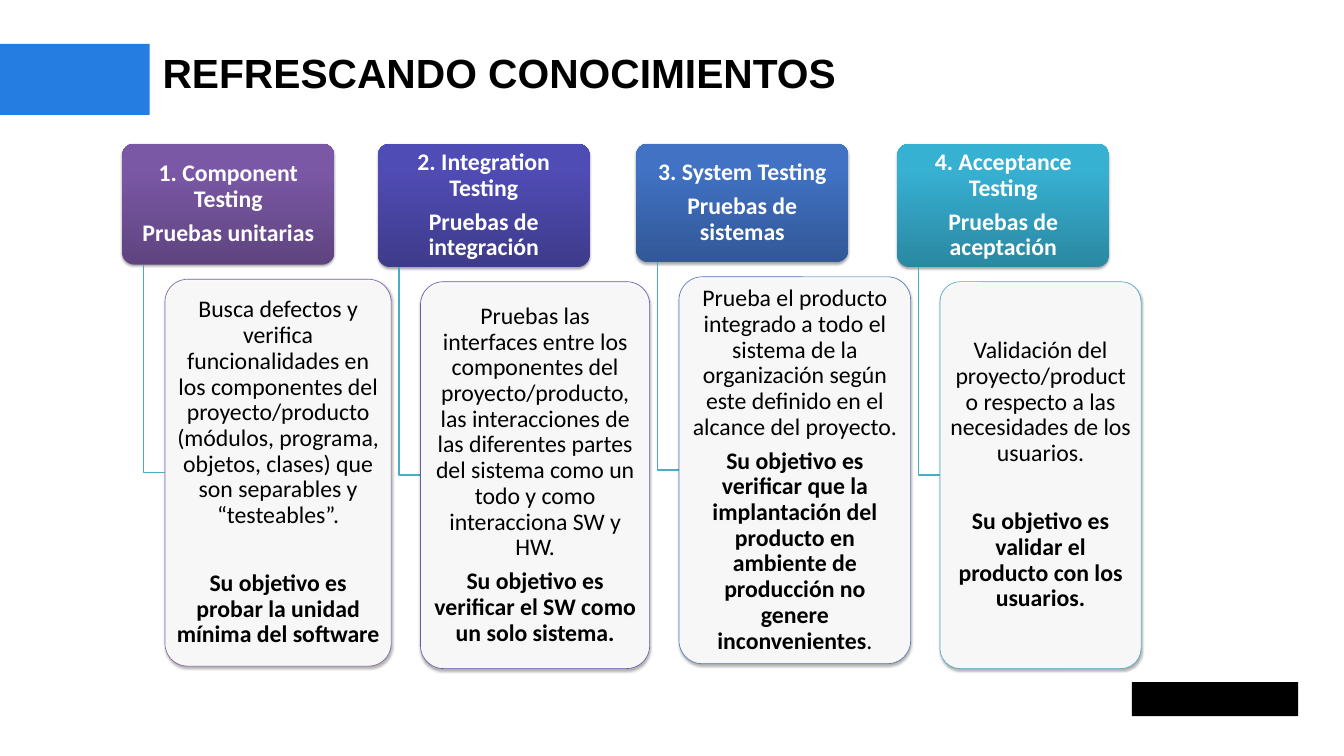
"""Build a slide that recalls the four levels of software testing."""
from collections import namedtuple
from pptx import Presentation, util as u
from pptx.dml.color import RGBColor
from pptx.enum import shapes, text
from pptx.oxml import ns, parse_xml

Level = namedtuple("Level", "name name_es body goal tail gap head_h card_w dark light edge")

TITLE = "REFRESCANDO CONOCIMIENTOS"
LEVELS = [
    Level("1. Component Testing", "Pruebas unitarias",
          "Busca defectos y verifica funcionalidades en los componentes del proyecto/producto "
          "(módulos, programa, objetos, clases) que son separables y “testeables”.",
          "Su objetivo es probar la unidad mínima del software", "",
          50, 198, 370, "5F4480", "7B58A6", "8064A2"),
    Level("2. Integration Testing", "Pruebas de integración",
          "Pruebas las interfaces entre los componentes del proyecto/producto, las interacciones de "
          "las diferentes partes del sistema como un todo y como interacciona SW y HW.",
          "Su objetivo es verificar el SW como un solo sistema.", "",
          9.8, 202, 375, "3E3B8B", "504CB5", "5F5BAE"),
    Level("3. System Testing", "Pruebas de sistemas",
          "Prueba el producto integrado a todo el sistema de la organización según este definido "
          "en el alcance del proyecto.",
          "Su objetivo es verificar que la implantación del producto en ambiente de producción "
          "no genere inconvenientes", ".",
          9.8, 194, 379, "325897", "4172C4", "537ABA"),
    Level("4. Acceptance Testing", "Pruebas de aceptación",
          "Validación del proyecto/producto respecto a las necesidades de los usuarios.",
          "Su objetivo es validar el producto con los usuarios.", "",
          50, 202, 329, "2A88A2", "37B1D2", "4BACC6"),
]
THEME = {
    "accent": "257CE1", "ink": "000000", "paper": "FFFFFF", "link": "4BACC6",
    "title_font": "Arial", "body_font": "Calibri",
    "title_pt": 48, "body_pt": 28, "after_pt": 9.8, "edge_pt": 0.75, "link_pt": 2,
}
PX = 9144
SLIDE_W, SLIDE_H = 2199, 1237
LEFT, TOP, HEAD_W, CARD_H = 200, 235, 347, 633
INDENT, DROP, COLUMN_GAP = 35, 24, 48


def rgb(value):
    return RGBColor.from_string(value)


def px(*lengths):
    return [u.Emu(n * PX) for n in lengths]


def assign(target, values):
    for name, value in values.items():
        setattr(target, name, value)


def add_run(p, words, font, size, color, bold):
    r = p.add_run()
    r.text = words
    assign(r.font, {"name": font, "size": u.Pt(size), "bold": bold})
    r.font.color.rgb = rgb(color)


def add_box(s, kind, box, color):
    sp = s.shapes.add_shape(kind, *px(*box))
    sp.shadow.inherit = False
    sp.fill.solid()
    sp.fill.fore_color.rgb = rgb(color)
    sp.line.fill.background()
    return sp


def add_panel(s, box, color, paragraphs, ink):
    sp = add_box(s, shapes.MSO_SHAPE.ROUNDED_RECTANGLE, box, color)
    sp.adjustments[0] = 0.1
    sp._element.spPr.find(ns.qn("a:effectLst")).append(parse_xml(
        f'<a:outerShdw {ns.nsdecls("a")} blurRad="{u.Pt(3.1)}" dist="{u.Pt(1.8)}" dir="5400000" '
        'rotWithShape="0"><a:srgbClr val="000000"><a:alpha val="35000"/></a:srgbClr></a:outerShdw>'))
    tf = sp.text_frame
    side, edge = px(6, 4)
    assign(tf, {"word_wrap": True, "vertical_anchor": text.MSO_ANCHOR.MIDDLE,
                "margin_left": side, "margin_right": side,
                "margin_top": edge, "margin_bottom": edge})
    for i, (runs, after) in enumerate(paragraphs):
        p = tf.add_paragraph() if i else tf.paragraphs[0]
        assign(p, {"alignment": text.PP_ALIGN.CENTER, "line_spacing": 0.9,
                   "space_after": u.Pt(after)})
        for words, bold in runs:
            add_run(p, words, THEME["body_font"], THEME["body_pt"], ink, bold)
    return sp


def add_level(s, x, level):
    after = THEME["after_pt"]
    names = [([(words, True)], after) for words in (level.name, level.name_es)]
    head = add_panel(s, (x, TOP, HEAD_W, level.head_h), level.dark, names, THEME["paper"])
    head.fill.gradient()
    head.fill.gradient_angle = 90
    for stop, color, position in zip(head.fill.gradient_stops, (level.dark, level.light), (0, 0.8)):
        stop.color.rgb = rgb(color)
        stop.position = position

    bottom = TOP + level.head_h
    card_x, card_y = x + INDENT * 2, bottom + DROP
    corner_y = card_y + CARD_H // 2
    builder = s.shapes.build_freeform(x + INDENT, bottom, scale=PX)
    builder.add_line_segments([(x + INDENT, corner_y), (card_x, corner_y)], close=False)
    link = builder.convert_to_shape()
    link.shadow.inherit = False
    link.fill.background()
    link.line.color.rgb = rgb(THEME["link"])
    link.line.width = u.Pt(THEME["link_pt"])

    goal = [(level.goal, True)] + ([(level.tail, False)] if level.tail else [])
    card = add_panel(s, (card_x, card_y, level.card_w, CARD_H), THEME["paper"],
                     [([(level.body, False)], level.gap), (goal, after)], THEME["ink"])
    card.line.color.rgb = rgb(level.edge)
    card.line.width = u.Pt(THEME["edge_pt"])
    color = card._element.spPr.find(ns.qn("a:solidFill"))[0]
    color.append(parse_xml(f'<a:alpha {ns.nsdecls("a")} val="90000"/>'))


def main():
    prs = Presentation()
    prs.slide_width, prs.slide_height = px(SLIDE_W, SLIDE_H)
    s = prs.slides.add_slide(prs.slide_layouts[6])
    add_box(s, shapes.MSO_SHAPE.RECTANGLE, (-1, 72, 246, 116), THEME["accent"])
    add_box(s, shapes.MSO_SHAPE.RECTANGLE, (1852, 1116, 272, 56), THEME["ink"])

    tf = s.shapes.add_textbox(*px(266, 78, 1858, 81)).text_frame
    assign(tf, {"word_wrap": True, "margin_left": 0, "margin_right": 0,
                "margin_top": 0, "margin_bottom": 0})
    add_run(tf.paragraphs[0], TITLE, THEME["title_font"], THEME["title_pt"], THEME["ink"], True)

    x = LEFT
    for level in LEVELS:
        add_level(s, x, level)
        x += level.card_w + COLUMN_GAP
    prs.save("out.pptx")


if __name__ == "__main__":
    main()
